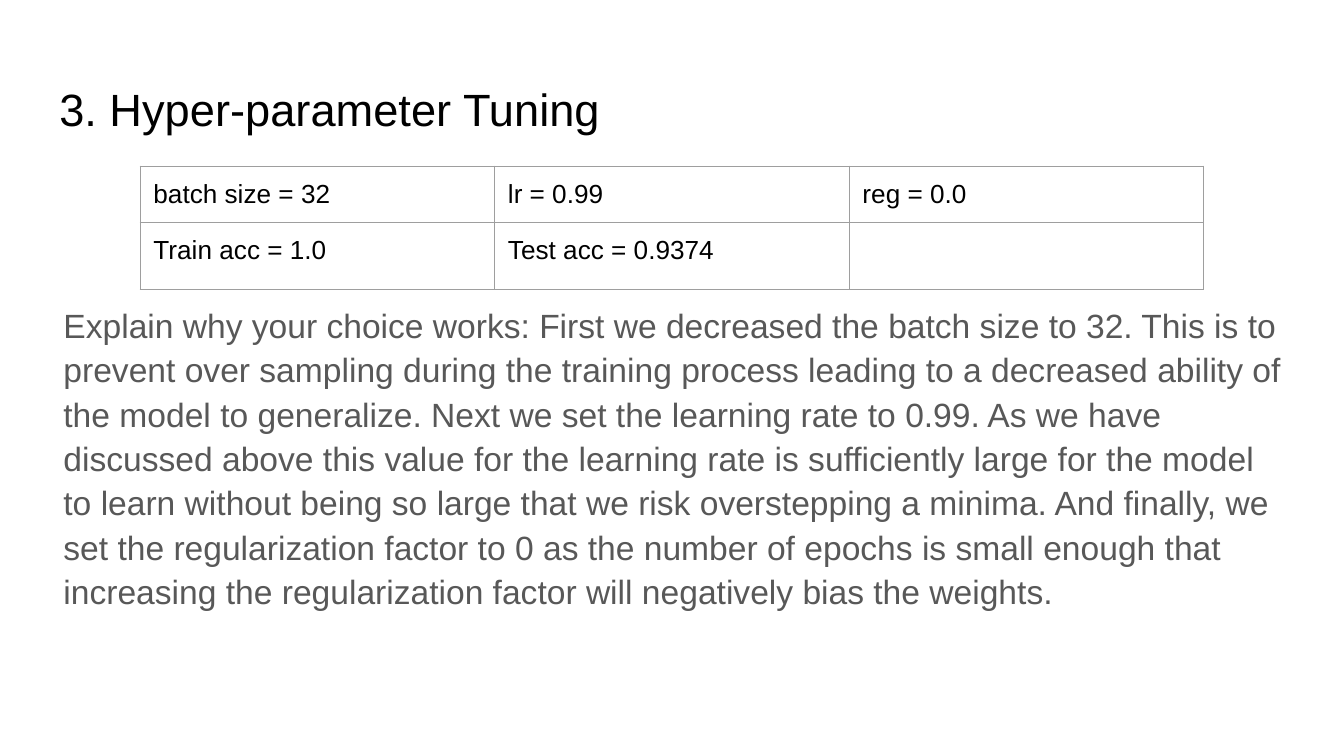
from pptx import Presentation
from pptx.dml.color import RGBColor
from pptx.enum import text as t
from pptx.oxml import parse_xml
from pptx.oxml.ns import nsdecls
from pptx.util import Cm, Pt

HUES = {"ink": "000000", "body": "585858", "rule": "9E9E9E"}
PAD = Cm(0.25)
ROWS = [
    ["batch size = 32", "lr = 0.99", "reg = 0.0"],
    ["Train acc = 1.0", "Test acc = 0.9374", ""],
]
WHY = (
    "Explain why your choice works: First we decreased the batch size to 32. "
    "This is to prevent over sampling during the training process leading to a "
    "decreased ability of the model to generalize. Next we set the learning rate "
    "to 0.99. As we have discussed above this value for the learning rate is "
    "sufficiently large for the model to learn without being so large that we "
    "risk overstepping a minima. And finally, we set the regularization factor "
    "to 0 as the number of epochs is small enough that increasing the "
    "regularization factor will negatively bias the weights."
)


def pad(box):
    """Give a text frame or cell the same margin on all sides."""
    box.margin_left = box.margin_right = PAD
    box.margin_top = box.margin_bottom = PAD


def write(para, words, size, hue):
    """Add one left-aligned run of Arial text."""
    para.alignment = t.PP_ALIGN.LEFT
    run = para.add_run()
    run.text = words
    run.font.name = "Arial"
    run.font.size = Pt(size)
    run.font.color.rgb = RGBColor.from_string(HUES[hue])


def set_frame(shape, anchor):
    """Prepare a wrapped text frame and return its first paragraph."""
    frame = shape.text_frame
    frame.word_wrap = True
    frame.auto_size = t.MSO_AUTO_SIZE.NONE
    frame.vertical_anchor = anchor
    pad(frame)
    return frame.paragraphs[0]


def add_title(slide, words):
    """Place and fill the title placeholder."""
    title = slide.shapes.title
    title.left, title.top = Cm(0.87), Cm(1.25)
    title.width, title.height = Cm(23.67), Cm(1.6)
    write(set_frame(title, t.MSO_ANCHOR.MIDDLE), words, 24.2, "ink")


def add_body(slide, words):
    """Add the paragraph below the table."""
    box = slide.shapes.add_textbox(Cm(0.95), Cm(5.44), Cm(23.67), Cm(6.78))
    para = set_frame(box, t.MSO_ANCHOR.TOP)
    para.line_spacing = 1.1
    write(para, words, 18, "body")


def rule(cell):
    """Draw a thin line on each side of a cell."""
    props = cell._tc.get_or_add_tcPr()
    for i, side in enumerate(("lnL", "lnR", "lnT", "lnB")):
        props.insert(i, parse_xml(
            f'<a:{side} {nsdecls("a")} w="{Pt(0.75)}"><a:solidFill>'
            f'<a:srgbClr val="{HUES["rule"]}"/></a:solidFill></a:{side}>'))


def add_grid(slide, rows):
    """Add the table of settings and scores."""
    wide, highs = Cm(6.7), [Cm(1.06), Cm(1.22)]
    count = len(rows[0])
    grid = slide.shapes.add_table(
        len(rows), count, Cm(2.65), Cm(3.14), wide * count, sum(highs)).table
    grid.first_row = grid.horz_banding = False
    for row, high, line in zip(grid.rows, highs, rows):
        row.height = high
        for cell, words in zip(row.cells, line):
            pad(cell)
            cell.fill.background()
            rule(cell)
            if words:
                write(cell.text_frame.paragraphs[0], words, 14, "ink")


def main():
    """Build and save the slide."""
    deck = Presentation()
    deck.slide_width, deck.slide_height = Cm(25.4), Cm(14.29)
    slide = deck.slides.add_slide(deck.slide_layouts[5])
    add_title(slide, "3. Hyper-parameter Tuning")
    add_body(slide, WHY)
    add_grid(slide, ROWS)
    deck.save("out.pptx")


if __name__ == "__main__":
    main()
